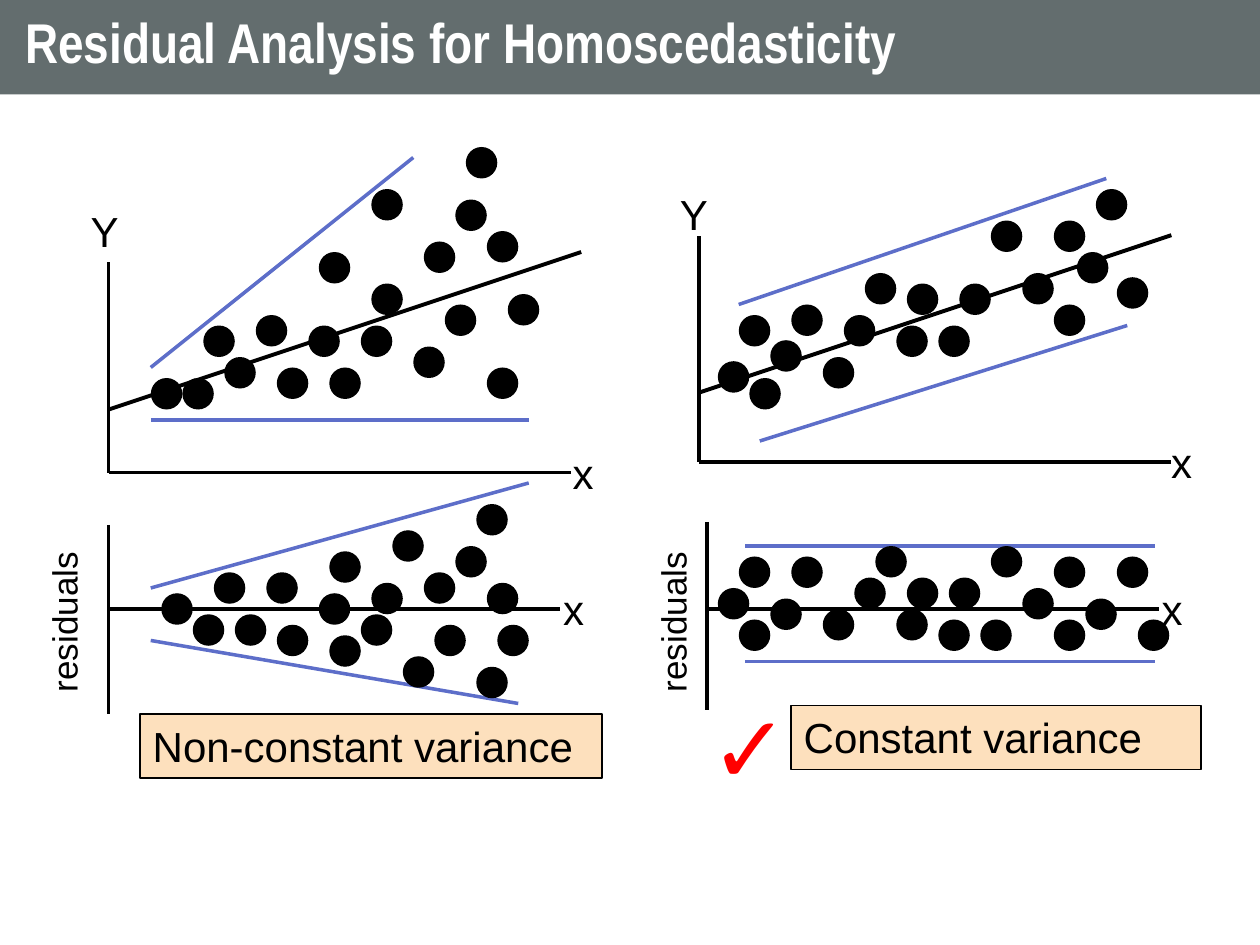
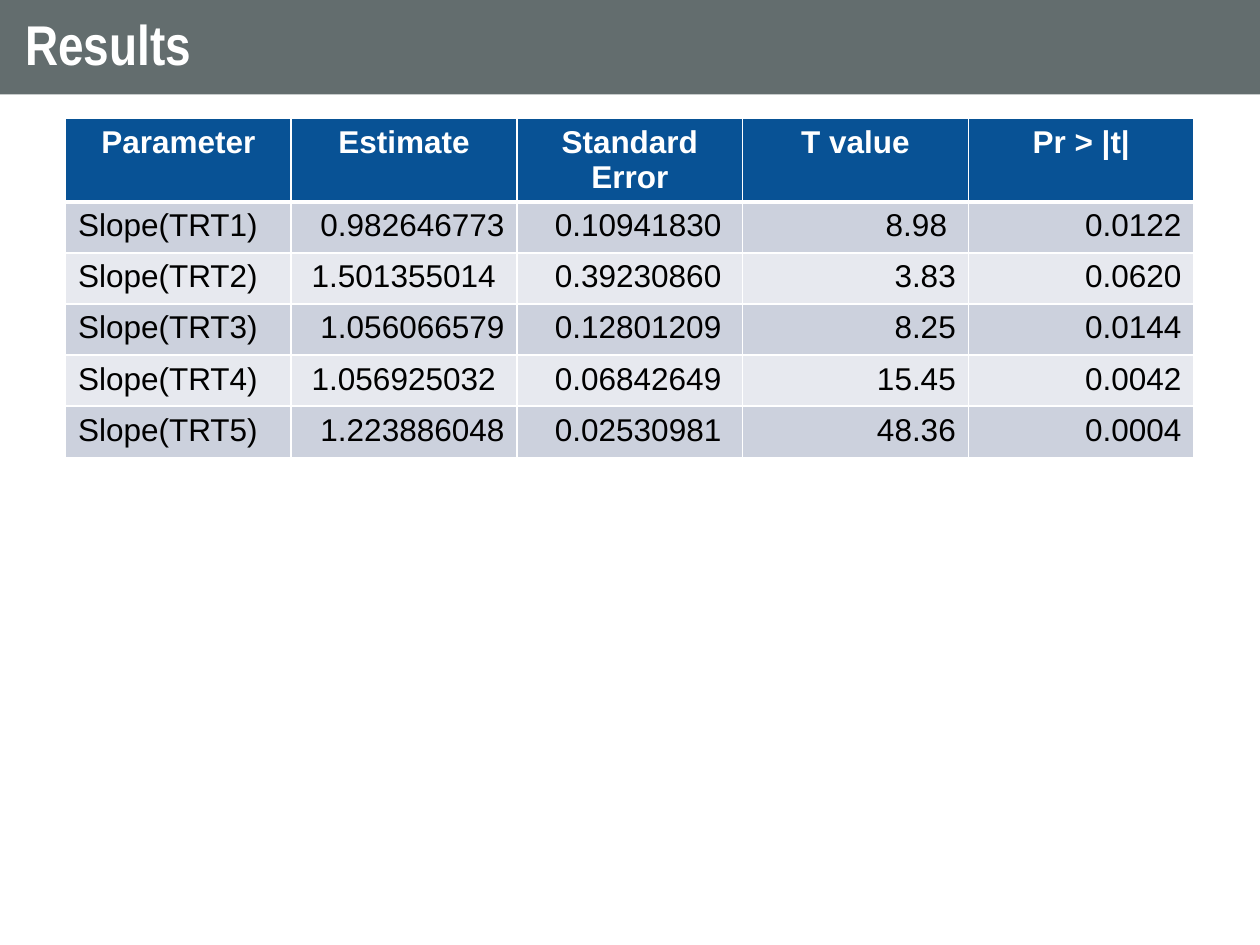
from pptx import Presentation
from pptx.dml.color import RGBColor as RGB
from pptx.enum.shapes import MSO_CONNECTOR as Link, MSO_SHAPE as Form
from pptx.enum.text import MSO_ANCHOR as Anchor, PP_ALIGN as Align
from pptx.oxml import parse_xml
from pptx.oxml.ns import nsdecls
from pptx.util import Inches, Pt

INK = {
    "bar": "636D6E", "white": "FFFFFF", "black": "000000", "note": "FDE0BD",
    "band": "5D6EC9", "tick": "FF0000", "head": "085295",
    "odd": "CCD1DD", "even": "E7E9EF",
}
COLS, ROWS = 120, 90  # cells of the slide grid
DOT = 3               # cells across one data point


def ink(name):
    return RGB.from_string(INK[name])


class Deck:
    """Holds the style and the current slide; lengths are grid cells."""

    def __init__(self):
        self.prs = Presentation()
        self.prs.slide_width, self.prs.slide_height = Inches(10), Inches(7.5)
        self.wide = self.prs.slide_width / COLS
        self.high = self.prs.slide_height / ROWS

    def size(self, cols, rows):
        return round(cols * self.wide), round(rows * self.high)

    def place(self, col, row):
        return self.size(col + self.shift, row)

    def page(self, title, lead=0.9, shift=0):
        self.slide = self.prs.slides.add_slide(self.prs.slide_layouts[6])
        self.shapes = self.slide.shapes
        self.shift = 0
        bar = self.shape(Form.RECTANGLE, 0, 0, COLS, 9, "bar")
        frame = bar.text_frame
        frame.margin_left = frame.margin_right = Inches(0.2)
        frame.margin_top = frame.margin_bottom = Inches(0.1)
        frame.vertical_anchor = Anchor.MIDDLE
        self.text(frame, title, 32, "white", "Arial Narrow", True)
        frame.paragraphs[0].line_spacing = lead
        self.shift = shift

    def text(self, frame, words, size, color="black", face="Arial",
             bold=False, align=Align.LEFT):
        frame.word_wrap = True
        para = frame.paragraphs[0]
        para.text, para.alignment = words, align
        font = para.font
        font.name, font.size, font.bold = face, Pt(size), bold
        font.color.rgb = ink(color)

    def shape(self, form, col, row, wide, high, fill, edge=None):
        item = self.shapes.add_shape(form, *self.place(col, row), *self.size(wide, high))
        item.shadow.inherit = False
        item.fill.solid()
        item.fill.fore_color.rgb = ink(fill)
        if edge:
            item.line.color.rgb = ink(edge)
            item.line.width = Pt(1)
        else:
            item.line.fill.background()
        return item

    def label(self, words, col, row, wide=6, high=6, size=24, color="black", turn=0):
        box = self.shapes.add_textbox(*self.place(col, row), *self.size(wide, high))
        box.rotation = turn
        self.text(box.text_frame, words, size, color)

    def note(self, words, col, row, wide):
        box = self.shape(Form.RECTANGLE, col, row, wide, 6.1, "note", "black")
        box.text_frame.vertical_anchor = Anchor.TOP
        self.text(box.text_frame, words, 24)

    def line(self, ends, color="black", width=2):
        link = self.shapes.add_connector(
            Link.STRAIGHT, *self.place(*ends[:2]), *self.place(*ends[2:]))
        link.line.color.rgb = ink(color)
        link.line.width = Pt(width)
        link._element.spPr.append(parse_xml(f"<a:effectLst {nsdecls('a')}/>"))

    def plot(self, axes, bands, dots, fit=None, drop=0):
        for ends in axes:
            self.line(ends)
        if fit:
            self.line(fit, width=2.25)
        for ends in bands:
            self.line(ends, "band")
        for col, row in dots:
            self.shape(Form.OVAL, col, row + drop, DOT, DOT, "black")

    def border(self, cell, foot):
        props = cell._tc.get_or_add_tcPr()
        sides = {"lnL": 1, "lnR": 1, "lnT": 1, "lnB": foot}
        for spot, (tag, width) in enumerate(sides.items()):
            props.insert(spot, parse_xml(
                f'<a:{tag} {nsdecls("a")} w="{Pt(width)}"><a:solidFill>'
                f'<a:srgbClr val="{INK["white"]}"/></a:solidFill></a:{tag}>'))

    def table(self, data, col, row, wide, high):
        count = len(data[0])
        grid = self.shapes.add_table(
            len(data), count, *self.place(col, row),
            *self.size(wide * count, high * len(data))).table
        for r, line in enumerate(data):
            for c, words in enumerate(line):
                cell = grid.cell(r, c)
                cell.fill.solid()
                if r == 0:
                    fill, color, align = "head", "white", Align.CENTER
                else:
                    fill, color = "odd" if r % 2 else "even", "black"
                    align = Align.RIGHT if c else Align.LEFT
                cell.fill.fore_color.rgb = ink(fill)
                self.text(cell.text_frame, words, 18, color, bold=r == 0, align=align)
                self.border(cell, 1 if r else 3)


# Data points as (column, row) of the grid
FAN = [
    (14, 36), (19, 31), (35, 18), (39, 33), (43, 19), (24, 30), (42, 29),
    (46, 35), (44, 14), (46, 22), (40, 23), (31, 35), (35, 27), (30, 24),
    (17, 36), (21, 34), (26, 35), (34, 31), (48, 28), (29, 31),
]
FAN_RES = [
    (15, 56), (31, 52), (18, 58), (20, 54), (25, 54), (26, 59), (30, 56),
    (22, 58), (47, 59), (38, 62), (40, 54), (37, 50), (35, 55), (34, 58),
    (31, 60), (43, 51.5), (46, 55), (45, 47.5), (45, 63), (41, 59),
]
EVEN = [
    (68, 34.4), (70, 30), (91, 27), (100, 21), (75, 29), (97, 26), (100, 29),
    (102.2, 24), (94, 21), (85, 31), (86, 27), (82, 26), (71, 36), (73, 32.4),
    (78, 34), (89, 31), (106, 26.4), (80, 30), (104, 18),
]
EVEN_RES = [
    (70, 53), (78, 58), (73, 57), (75, 53), (68, 56), (70, 59), (94, 52),
    (81, 55), (83, 52), (86, 55), (89, 59), (85, 58), (100, 53), (90, 55),
    (93, 59), (100, 59), (97, 56), (106, 53), (103, 57), (108, 59),
]
RESULTS = [
    ("Parameter", "Estimate", "Standard Error", "T value", "Pr > |t|"),
    ("Slope(TRT1)", " 0.982646773 ", "0.10941830 ", " 8.98 ", "0.0122"),
    ("Slope(TRT2)", "1.501355014 ", " 0.39230860 ", "3.83", "0.0620"),
    ("Slope(TRT3)", " 1.056066579 ", " 0.12801209 ", "8.25", "0.0144"),
    ("Slope(TRT4)", "1.056925032 ", " 0.06842649 ", "15.45", "0.0042"),
    ("Slope(TRT5)", " 1.223886048 ", "0.02530981 ", "48.36", "0.0004"),
]


def main():
    deck = Deck()

    # Slide 1: verdicts below the plots
    deck.page("Residual Analysis for Homoscedasticity", lead=0.8, shift=0.36)
    deck.note("Non-constant variance", 13, 68, 44)
    deck.label("✓", 66.1, 65, 12, 12, 54, "tick")
    deck.note("Constant variance", 75, 67.2, 39)

    # Residual plots
    deck.plot([(10, 50, 10, 68), (10, 58, 53, 58)],
              [(14, 56, 50, 46), (14, 61, 49, 67)], FAN_RES, drop=0.5)
    deck.plot([(67, 49.7, 67, 67.6), (67, 58, 110, 58)],
              [(70.6, row, 109.6, row) for row in (52, 63)], EVEN_RES)

    # Fitted plots
    deck.plot([(10, 25, 10, 45), (10, 45, 54, 45)],
              [(14, 35, 39, 15), (14, 40, 50, 40)], FAN, (10, 39, 55, 24))
    deck.plot([(66.2, 22.5, 66.2, 44), (66.2, 44, 111.2, 44)],
              [(70, 29, 105, 17), (72, 42, 107, 31)], EVEN,
              (66.2, 37.4, 111.2, 22.4))

    # Axis names
    for col, row in ((52.1, 55), (109.1, 55), (53, 42), (110, 41)):
        deck.label("x", col, row)
    for col, row in ((7.1, 19), (63.2, 17.4)):
        deck.label("Y", col, row, 5)
    for col in (-2.9, 55.1):
        deck.label("residuals", col, 55.9, 17.2, 5.2, 20, turn=270)

    # Slide 2: slope estimates
    deck.page("Results")
    deck.table(RESULTS, 6.24, 11.3, 21.5, 4.87)

    deck.prs.save("out.pptx")


if __name__ == "__main__":
    main()
